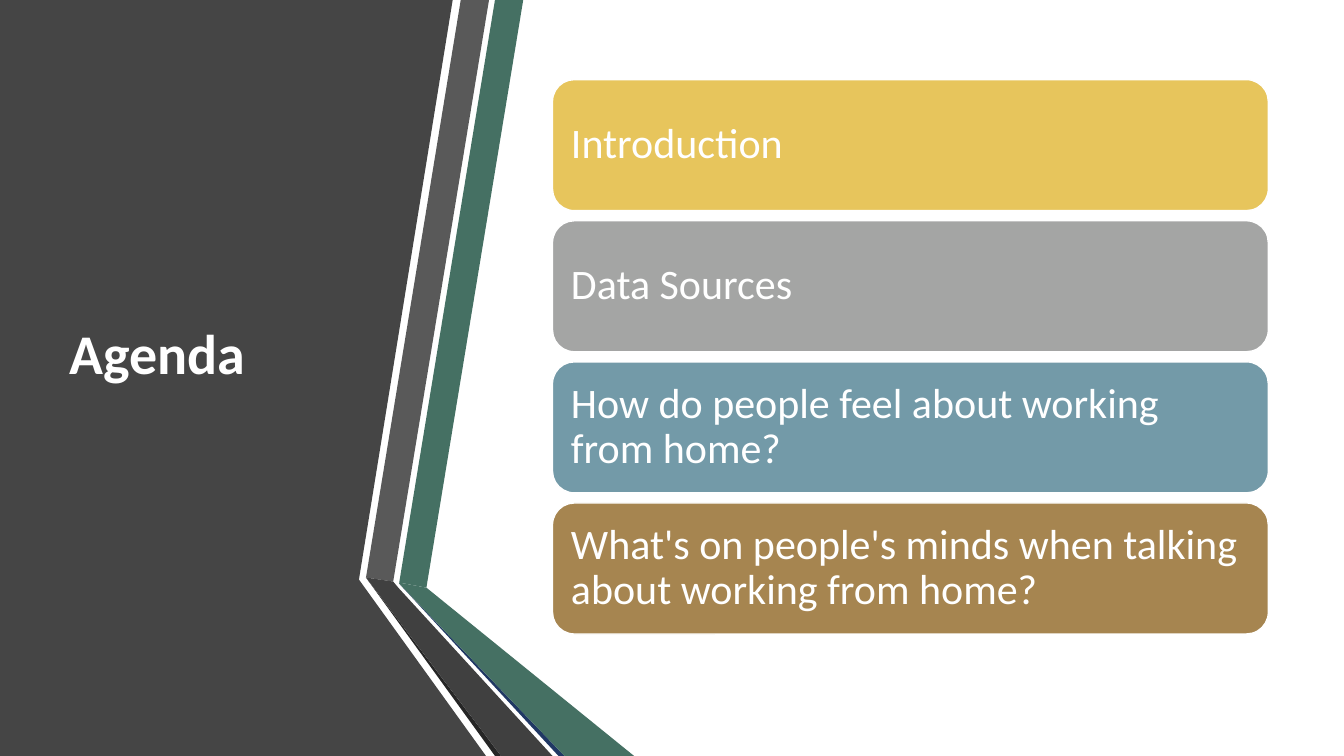
from pptx import Presentation
from pptx.dml.color import RGBColor
from pptx.enum.shapes import MSO_SHAPE
from pptx.enum.text import MSO_ANCHOR, PP_ALIGN
from pptx.util import Inches, Pt

ROUNDED = MSO_SHAPE.ROUNDED_RECTANGLE
MIDDLE = MSO_ANCHOR.MIDDLE
LEFT = PP_ALIGN.LEFT

WHITE = RGBColor(0xFF, 0xFF, 0xFF)
CHARCOAL = RGBColor(0x45, 0x45, 0x45)
GREEN = RGBColor(0x45, 0x70, 0x63)
GRAY = RGBColor(0x59, 0x59, 0x59)
BLACK = RGBColor(0x26, 0x26, 0x26)
NAVY = RGBColor(0x20, 0x38, 0x64)
DARK_GRAY = RGBColor(0x40, 0x40, 0x40)
YELLOW = RGBColor(0xE7, 0xC5, 0x5C)
SILVER = RGBColor(0xA4, 0xA5, 0xA4)
BLUE = RGBColor(0x73, 0x9A, 0xA8)
BROWN = RGBColor(0xA6, 0x85, 0x50)

FONT = "Calibri"

# Outlines in inches from the panel's top left corner, back to front
PANEL_PIECES = [
    (CHARCOAL, [(0, 0), (4.49, 0), (3.56, 5.75), (4.82, 7.5), (0, 7.5)]),
    (GREEN, [(3.96, 5.78), (4.23, 5.83), (5.19, 0), (4.91, 0)]),
    (GRAY, [(4.85, 0), (4.57, 0), (3.63, 5.73), (3.9, 5.77)]),
    (BLACK, [(3.63, 5.73), (4.91, 7.5), (4.97, 7.5)]),
    (NAVY, [(3.96, 5.79), (5.54, 7.5), (5.6, 7.5)]),
    (GREEN, [(3.96, 5.79), (5.6, 7.5), (6.29, 7.5), (4.23, 5.83), (3.96, 5.78)]),
    (DARK_GRAY, [(5.48, 7.5), (3.95, 5.83), (3.9, 5.77), (3.63, 5.73), (4.97, 7.5)]),
]

AGENDA = [
    ("Introduction", YELLOW),
    ("Data Sources", SILVER),
    ("How do people feel about working from home?", BLUE),
    ("What's on people's minds when talking about working from home?", BROWN),
]


def format_text(paragraph, size, bold=False):
    paragraph.alignment = LEFT
    paragraph.line_spacing = 0.9
    font = paragraph.font
    font.name, font.size, font.bold = FONT, Pt(size), bold
    font.color.rgb = WHITE


def add_side_panel(slide, left, top):
    for color, outline in PANEL_PIECES:
        points = [(left + Inches(x), top + Inches(y)) for x, y in outline]
        builder = slide.shapes.build_freeform(*points[0])
        builder.add_line_segments(points[1:], close=True)
        piece = builder.convert_to_shape()
        piece.shadow.inherit = False
        piece.fill.solid()
        piece.fill.fore_color.rgb = color
        piece.line.fill.background()


def place_title(slide, left, top, width, height):
    title = slide.shapes.title
    title.left, title.top, title.width, title.height = left, top, width, height
    title.text_frame.text = "Agenda"
    title.text_frame.vertical_anchor = MIDDLE
    format_text(title.text_frame.paragraphs[0], 40, bold=True)


def add_agenda(slide, left, top, width, height):
    """Stack one card per agenda item, with equal gaps, to fill the box."""
    card_height = Inches(1.3)
    pitch = (height - card_height) // (len(AGENDA) - 1)
    for index, (topic, color) in enumerate(AGENDA):
        card = slide.shapes.add_shape(
            ROUNDED, left, top + index * pitch, width, card_height)
        card.shadow.inherit = False
        card.fill.solid()
        card.fill.fore_color.rgb = color
        card.line.color.rgb = WHITE
        card.line.width = Pt(1)
        frame = card.text_frame
        frame.word_wrap = True
        frame.vertical_anchor = MIDDLE
        frame.margin_left = frame.margin_right = Inches(0.12)
        frame.margin_top = frame.margin_bottom = Inches(0.12)
        frame.text = topic
        format_text(frame.paragraphs[0], 30)


def build_agenda_slide(presentation):
    slide = presentation.slides.add_slide(presentation.slide_layouts[5])
    add_side_panel(slide, 0, 0)
    place_title(slide, Inches(0.59), Inches(0.75), Inches(3.04), Inches(5.58))
    # The title starts out behind the panel, so bring it to the front
    slide.shapes.title.element.getparent().append(slide.shapes.title.element)
    add_agenda(slide, Inches(5.48), Inches(0.79), Inches(7.1), Inches(5.5))


def main():
    presentation = Presentation()
    presentation.slide_width = Inches(13.33)
    presentation.slide_height = Inches(7.5)
    build_agenda_slide(presentation)
    presentation.save("out.pptx")


if __name__ == "__main__":
    main()
